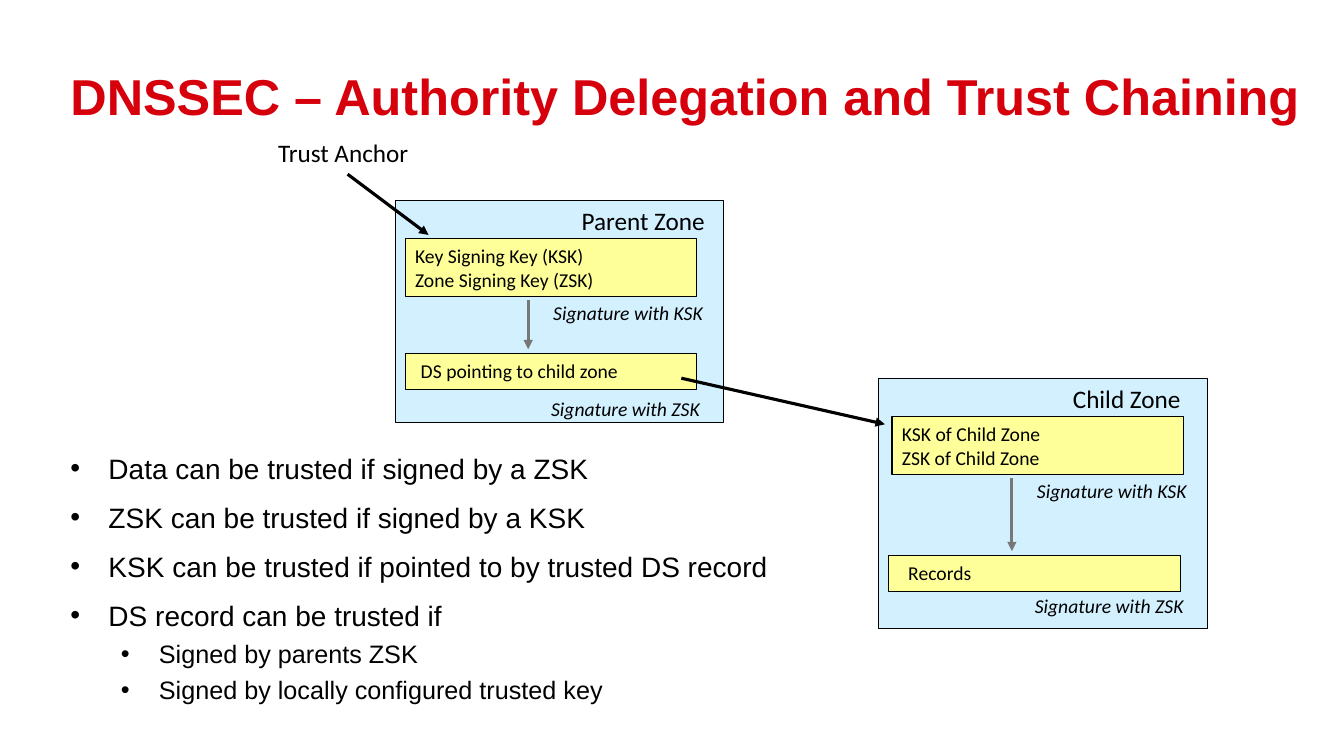
from lxml import etree
from pptx import Presentation
from pptx.dml.color import RGBColor
from pptx.enum.shapes import MSO_CONNECTOR, MSO_SHAPE
from pptx.enum.text import MSO_ANCHOR, MSO_AUTO_SIZE, PP_ALIGN
from pptx.oxml.ns import qn
from pptx.util import Cm, Pt

RED = RGBColor(0xD6, 0x00, 0x0D)
BLACK = RGBColor(0x00, 0x00, 0x00)
GREY = RGBColor(0x77, 0x77, 0x77)
PALE_BLUE = RGBColor(0xD3, 0xF0, 0xFF)
YELLOW = RGBColor(0xFF, 0xFF, 0x99)

prs = Presentation()
prs.slide_width, prs.slide_height = Cm(33.87), Cm(19.05)
slide = prs.slides.add_slide(prs.slide_layouts[1])


def add_box(left, top, width, height, lines=(), size=14, italic=False, fill=None):
    """Add a filled rectangle, or a centred text label if there is no fill."""
    area = Cm(left), Cm(top), Cm(width), Cm(height)
    if fill is None:
        box = slide.shapes.add_textbox(*area)
    else:
        box = slide.shapes.add_shape(MSO_SHAPE.RECTANGLE, *area)
        box.shadow.inherit = False
        box.fill.solid()
        box.fill.fore_color.rgb = fill
        box.line.color.rgb = BLACK
        box.line.width = Pt(0.75)
    frame = box.text_frame
    frame.word_wrap = False
    frame.vertical_anchor = MSO_ANCHOR.MIDDLE if fill else MSO_ANCHOR.TOP
    if lines:
        frame.text = "\n".join(lines)
        for paragraph in frame.paragraphs:
            paragraph.alignment = PP_ALIGN.LEFT if fill else PP_ALIGN.CENTER
            paragraph.font.name = "Calibri"
            paragraph.font.size = Pt(size)
            paragraph.font.italic = italic
            paragraph.font.color.rgb = BLACK


def add_arrow(x1, y1, x2, y2, color):
    arrow = slide.shapes.add_connector(
        MSO_CONNECTOR.STRAIGHT, Cm(x1), Cm(y1), Cm(x2), Cm(y2))
    arrow.line.color.rgb = color
    arrow.line.width = Pt(2.25)
    etree.SubElement(arrow.line._get_or_add_ln(), qn("a:tailEnd"), type="triangle")
    etree.SubElement(arrow._element.spPr, qn("a:effectLst"))


# Title
title = slide.shapes.title
title.left, title.top, title.width, title.height = Cm(1.52), Cm(1.52), Cm(31.6), Cm(1.96)
title.text_frame.text = "DNSSEC – Authority Delegation and Trust Chaining"
title.text_frame.auto_size = MSO_AUTO_SIZE.NONE
title.text_frame.vertical_anchor = MSO_ANCHOR.MIDDLE
heading = title.text_frame.paragraphs[0]
heading.alignment = PP_ALIGN.LEFT
heading.line_spacing = 0.9
heading.font.name = "Arial"
heading.font.size = Pt(36)
heading.font.bold = True
heading.font.color.rgb = RED

# Rules of trust
trust_rules = [
    (0, "Data can be trusted if signed by a ZSK"),
    (0, "ZSK can be trusted if signed by a KSK"),
    (0, "KSK can be trusted if pointed to by trusted DS record"),
    (0, "DS record can be trusted if"),
    (1, "Signed by parents ZSK"),
    (1, "Signed by locally configured trusted key"),
]
# By level: size, space before, line spacing, left margin
level_styles = [(20, 11, 1.0, 0.96), (18, 6.5, 0.9, 2.23)]
body = slide.placeholders[1]
body.left, body.top, body.width, body.height = Cm(1.52), Cm(11.25), Cm(19.2), Cm(6.81)
frame = body.text_frame
frame.auto_size = MSO_AUTO_SIZE.NONE
frame.vertical_anchor = MSO_ANCHOR.TOP
frame.text = "\n".join(text for _, text in trust_rules)
for number, (rule, (level, _)) in enumerate(zip(frame.paragraphs, trust_rules)):
    size, before, spacing, margin = level_styles[level]
    rule.level = level
    rule.line_spacing = spacing
    rule.space_before = Pt(before if number else 0)
    properties = rule._p.get_or_add_pPr()
    properties.set("marL", str(Cm(margin)))
    properties.set("indent", str(-Cm(0.96)))
    etree.SubElement(properties, qn("a:buFont"), typeface="Arial")
    etree.SubElement(properties, qn("a:buChar"), char="•")
    rule.font.name = "Arial"
    rule.font.size = Pt(size)
    rule.font.color.rgb = BLACK

# Zones: name, its offset and width, left, top, height, keys and their offset,
# record, its offset, width and depth, depth of the ZSK signature
zones = [
    ("Parent Zone", 4.42, 3.66, 9.96, 5.05, 5.61,
     ["Key Signing Key (KSK)", "Zone Signing Key (ZSK)"], 0.25,
     "DS pointing to child zone", 0.36, 5.54, 3.86, 4.83),
    ("Child Zone", 4.62, 3.25, 22.15, 9.53, 6.3,
     ["KSK of Child Zone", "ZSK of Child Zone"], 0.33,
     "Records", 0.48, 2.11, 4.47, 5.31),
]
for (name, name_dx, name_width, left, top, height, keys, keys_dx,
     record, record_dx, record_width, record_dy, zsk_dy) in zones:
    add_box(left, top, 8.28, height, fill=PALE_BLUE)
    add_box(left + name_dx, top, name_width, 1.02, [name], 18)
    add_box(left + keys_dx, top + 0.96, 7.34, 1.47, keys, fill=YELLOW)
    add_box(left + 0.25, top + record_dy, 7.34, 0.91, fill=YELLOW)
    add_box(left + record_dx, top + record_dy, record_width, 0.86, [record])
    add_arrow(left + 3.35, top + 2.51, left + 3.35, top + record_dy - 0.11, GREY)
    add_box(left + 3.71, top + 2.41, 4.32, 0.86, ["Signature with KSK"], italic=True)
    add_box(left + 3.66, top + zsk_dy, 4.29, 0.86, ["Signature with ZSK"], italic=True)

# Chain of trust
add_box(6.73, 3.33, 3.84, 1.02, ["Trust Anchor"], 18)
add_arrow(8.76, 4.39, 10.8, 5.92, BLACK)
add_arrow(17.17, 9.53, 22.3, 10.69, BLACK)

prs.save("out.pptx")
